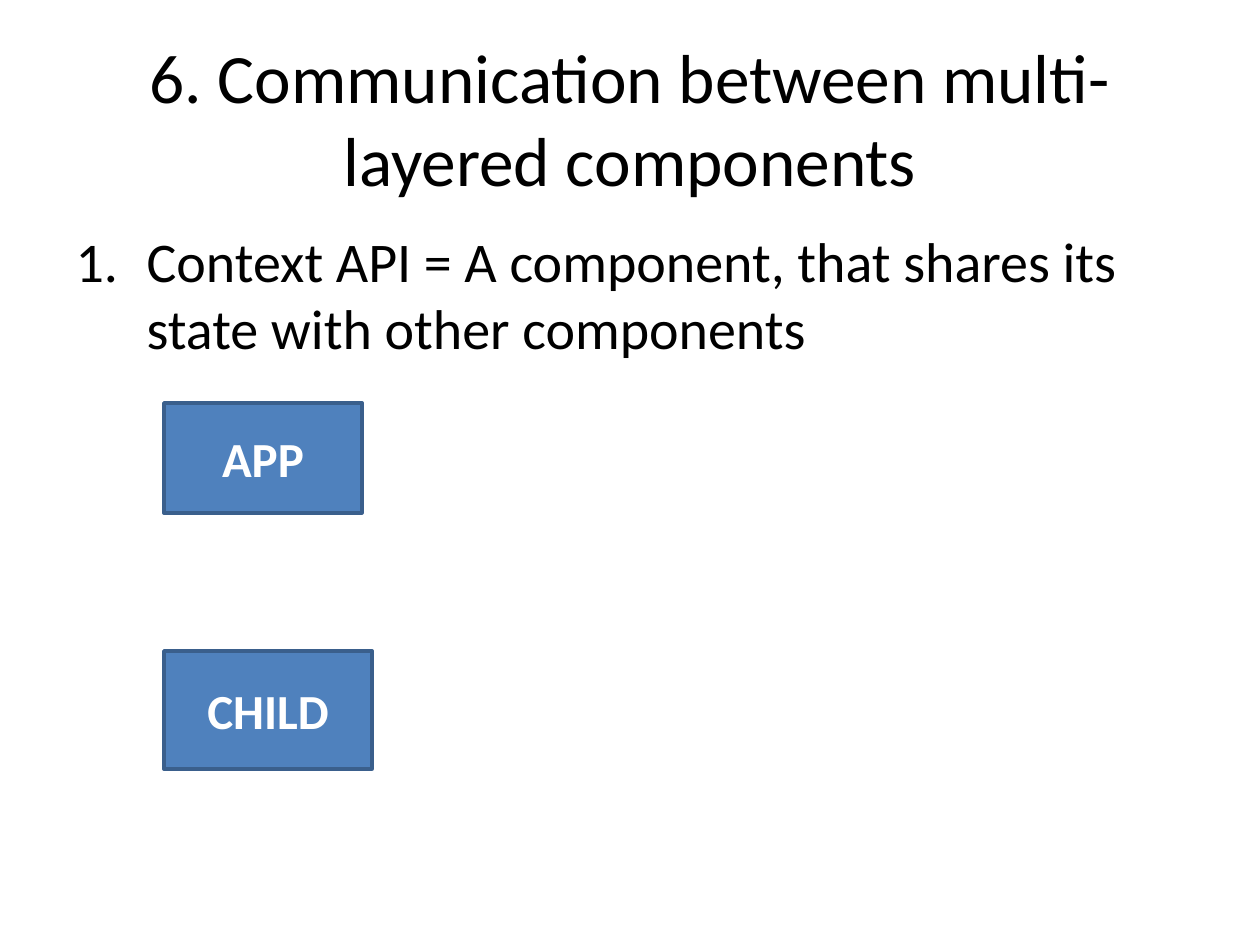
from dataclasses import dataclass

from lxml.etree import SubElement
from pptx import Presentation
from pptx.dml.color import RGBColor
from pptx.enum.shapes import MSO_SHAPE as Preset
from pptx.enum.text import MSO_ANCHOR as Anchor, MSO_AUTO_SIZE as AutoSize, PP_ALIGN as Align
from pptx.oxml.ns import qn
from pptx.util import Emu, Pt

EMU_PER_PIXEL = 914400 // 126
BLACK = RGBColor(0x00, 0x00, 0x00)
WHITE = RGBColor(0xFF, 0xFF, 0xFF)
BLUE = RGBColor(0x4F, 0x81, 0xBD)
DARK_BLUE = RGBColor(0x3A, 0x5F, 0x8C)
LEFT_MARGIN = 63
CONTENT_WIDTH = 1134
COMPONENT_LEFT = 164
NUMBER_INDENT = 71


@dataclass(frozen=True)
class Component:
    label: str
    top: int
    width: int
    height: int


COMPONENTS = [
    Component("APP", 403, 198, 110),
    Component("CHILD", 651, 208, 118),
]


def px(pixels: int) -> Emu:
    return Emu(pixels * EMU_PER_PIXEL)


def place(shape, left: int, top: int, width: int, height: int) -> None:
    shape.left, shape.top = px(left), px(top)
    shape.width, shape.height = px(width), px(height)


def write(shape, text: str, size: float, color: RGBColor, bold: bool = False):
    frame = shape.text_frame
    frame.text = text
    frame.word_wrap = True
    frame.auto_size = AutoSize.NONE
    paragraph = frame.paragraphs[0]
    font = paragraph.runs[0].font
    font.name = "Calibri"
    font.size = Pt(size)
    font.bold = bold
    font.color.rgb = color
    return paragraph


def number(paragraph) -> None:
    properties = paragraph._p.get_or_add_pPr()
    properties.set("marL", str(px(NUMBER_INDENT)))
    properties.set("indent", str(-px(NUMBER_INDENT)))
    before = SubElement(properties, qn("a:spcBef"))
    SubElement(before, qn("a:spcPct"), val="20000")
    SubElement(properties, qn("a:buFont"), typeface="+mj-lt")
    SubElement(properties, qn("a:buAutoNum"), type="arabicPeriod")


def draw_component(slide, component: Component) -> None:
    box = slide.shapes.add_shape(Preset.RECTANGLE, 0, 0, 0, 0)
    place(box, COMPONENT_LEFT, component.top, component.width, component.height)
    box.shadow.inherit = False
    box.fill.solid()
    box.fill.fore_color.rgb = BLUE
    box.line.color.rgb = DARK_BLUE
    box.line.width = Pt(2)
    label = write(box, component.label, 28, WHITE, bold=True)
    label.alignment = Align.CENTER
    box.text_frame.vertical_anchor = Anchor.MIDDLE


presentation = Presentation()
presentation.slide_width = px(1260)
presentation.slide_height = px(945)
slide = presentation.slides.add_slide(presentation.slide_layouts[1])

title = slide.shapes.title
place(title, LEFT_MARGIN, 38, CONTENT_WIDTH, 158)
heading = write(title, "6. Communication between multi-layered components", 39.6, BLACK)
heading.alignment = Align.CENTER
title.text_frame.vertical_anchor = Anchor.MIDDLE

body = slide.placeholders[1]
place(body, LEFT_MARGIN, 220, CONTENT_WIDTH, 624)
definition = write(
    body, "Context API = A component, that shares its state with other components", 32, BLACK
)
number(definition)

for component in COMPONENTS:
    draw_component(slide, component)

presentation.save("out.pptx")
